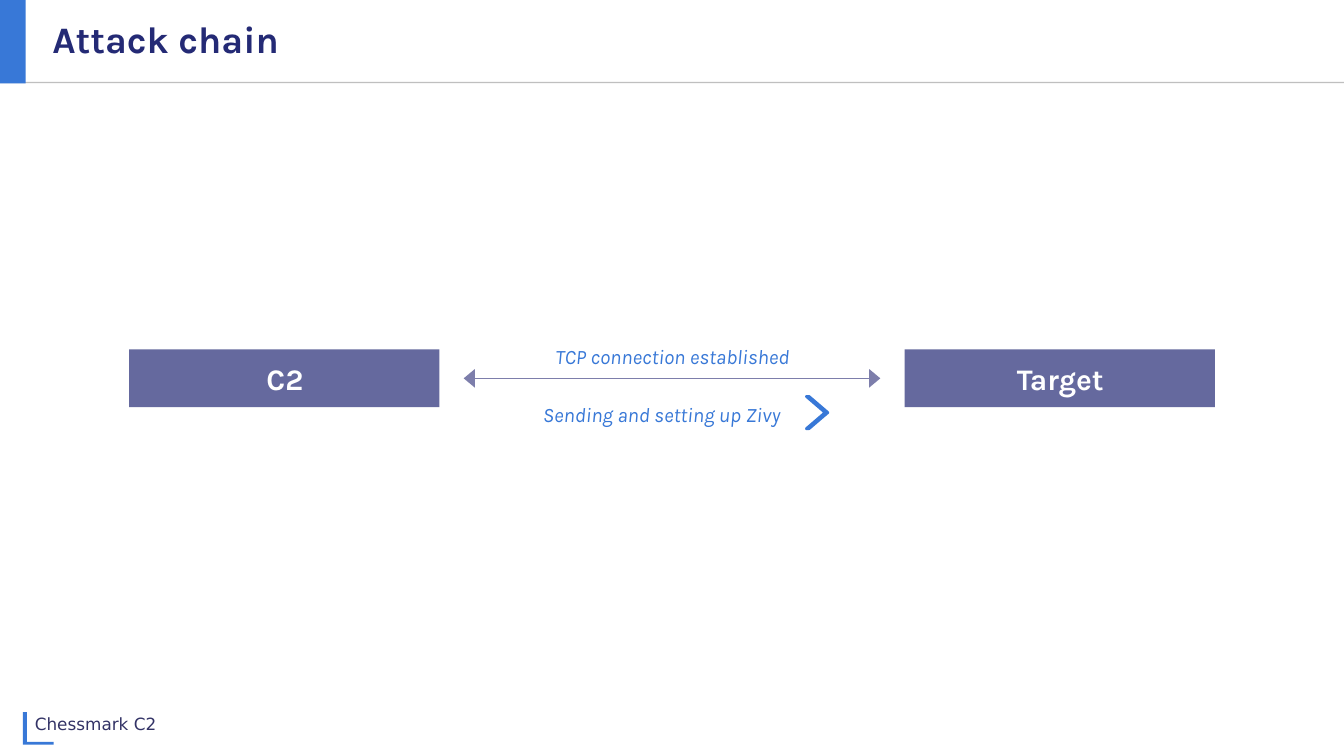
import pptx
import pptx.util
import pptx.dml.color
import pptx.enum.shapes
import pptx.enum.text
import pptx.oxml
import pptx.oxml.ns
import lxml.etree

Inches = pptx.util.Inches
RGBColor = pptx.dml.color.RGBColor
ALIGN = pptx.enum.text.PP_ALIGN
RECTANGLE = pptx.enum.shapes.MSO_SHAPE.RECTANGLE

NAVY = RGBColor(0x24, 0x2A, 0x75)
BLUE = RGBColor(0x38, 0x78, 0xD7)
GREY = RGBColor(0xBF, 0xBF, 0xBF)
LILAC = RGBColor(0x7D, 0x7E, 0xAB)
INDIGO = RGBColor(0x33, 0x33, 0x66)
WHITE = RGBColor(0xFF, 0xFF, 0xFF)


def qn(tag):
    return pptx.oxml.ns.qn(tag)


def write(frame, text, size, color, font="Karla", bold=False, italic=False,
          align=ALIGN.LEFT, anchor=pptx.enum.text.MSO_ANCHOR.TOP):
    frame.word_wrap = True
    frame.vertical_anchor = anchor
    frame.margin_left = Inches(0.01)
    frame.margin_right = frame.margin_bottom = 0
    frame.margin_top = Inches(0.01)
    paragraph = frame.paragraphs[0]
    paragraph.alignment = align
    run = paragraph.add_run()
    run.text = text
    run.font.size = pptx.util.Pt(size)
    run.font.name = font
    run.font.bold = bold
    run.font.italic = italic
    run.font.color.rgb = color


def add_label(slide, left, top, width, height, text, **style):
    label = slide.shapes.add_textbox(
        Inches(left), Inches(top), Inches(width), Inches(height))
    write(label.text_frame, text, **style)


def add_block(slide, left, top, width, height, color):
    block = slide.shapes.add_shape(
        RECTANGLE, Inches(left), Inches(top), Inches(width), Inches(height))
    block.shadow.inherit = False
    block.fill.solid()
    block.fill.fore_color.rgb = color
    block.line.fill.background()
    return block


def add_outline(slide, left, top, points):
    corners = [(Inches(left + x), Inches(top + y)) for x, y in points]
    builder = slide.shapes.build_freeform(*corners[0])
    builder.add_line_segments(corners[1:], close=True)
    outline = builder.convert_to_shape()
    outline.shadow.inherit = False
    return outline


def add_header(slide, left, top, width, height):
    add_block(slide, left, top + height - 0.01, width, 0.01, GREY)
    add_block(slide, left, top, 0.19, height, BLUE)
    add_label(slide, left + 0.38, top + 0.11, 3.83, 0.35, "Attack chain",
              size=20, color=NAVY, bold=True)


def add_footer(slide, left, top, width, height):
    bracket = add_outline(slide, left, top, [
        (0, 0), (0.03, 0), (0.03, height - 0.02), (0.23, height - 0.02),
        (0.23, height), (0, height)])
    bracket.fill.solid()
    bracket.fill.fore_color.rgb = BLUE
    bracket.line.fill.background()
    add_label(slide, left + 0.08, top, width - 0.08, 0.17, "Chessmark C2",
              size=9, color=INDIGO, font="DejaVu Sans")


def add_node(slide, left, top, width, height, name):
    node = add_block(slide, left, top, width, height, NAVY)
    color = node.fill._xPr.find(qn("a:solidFill"))[0]
    lxml.etree.SubElement(color, qn("a:alpha"), val="70000")
    write(node.text_frame, name, size=16, color=WHITE, bold=True,
          align=ALIGN.CENTER, anchor=pptx.enum.text.MSO_ANCHOR.MIDDLE)


def add_link(slide, left, top, width, height):
    middle = Inches(top + height / 2)
    arrow = slide.shapes.add_connector(
        pptx.enum.shapes.MSO_CONNECTOR.STRAIGHT,
        Inches(left), middle, Inches(left + width), middle)
    arrow.line.color.rgb = LILAC
    arrow.line.width = pptx.util.Pt(0.5)
    line = arrow.line._get_or_add_ln()
    for end in ("a:headEnd", "a:tailEnd"):
        lxml.etree.SubElement(line, qn(end), type="triangle", w="lg", len="med")
    lxml.etree.SubElement(arrow._element.spPr, qn("a:effectLst"))

    caption = dict(size=11, color=BLUE, italic=True, align=ALIGN.CENTER)
    add_label(slide, left + 0.32, top - 0.05, width - 0.64, 0.2,
              "TCP connection established", **caption)
    add_label(slide, left + 0.39, top + 0.38, 2.16, 0.2,
              "Sending and setting up Zivy", **caption)
    chevron = add_outline(slide, left + 2.55, top + 0.35, [
        (0.02, 0), (0, 0), (0.14, 0.12), (0, 0.24), (0.02, 0.24), (0.16, 0.12)])
    chevron.fill.background()
    chevron.line.color.rgb = BLUE
    chevron.line.width = pptx.util.Pt(1.5)


def add_chain(slide, left, top, width, height):
    node_width = 2.31
    gap = 0.18
    add_node(slide, left, top, node_width, height, "C2")
    add_node(slide, left + width - node_width, top, node_width, height, "Target")
    add_link(slide, left + node_width + gap, top,
             width - 2 * (node_width + gap), height)


def main():
    deck = pptx.Presentation()
    deck.slide_width = Inches(10)
    deck.slide_height = deck.slide_width * 9 // 16
    slide = deck.slides.add_slide(deck.slide_layouts[6])
    add_header(slide, 0, 0, 10, 0.62)
    add_chain(slide, 0.96, 2.6, 8.08, 0.43)
    add_footer(slide, 0.17, 5.3, 1.84, 0.24)
    deck.save("out.pptx")


if __name__ == "__main__":
    main()
